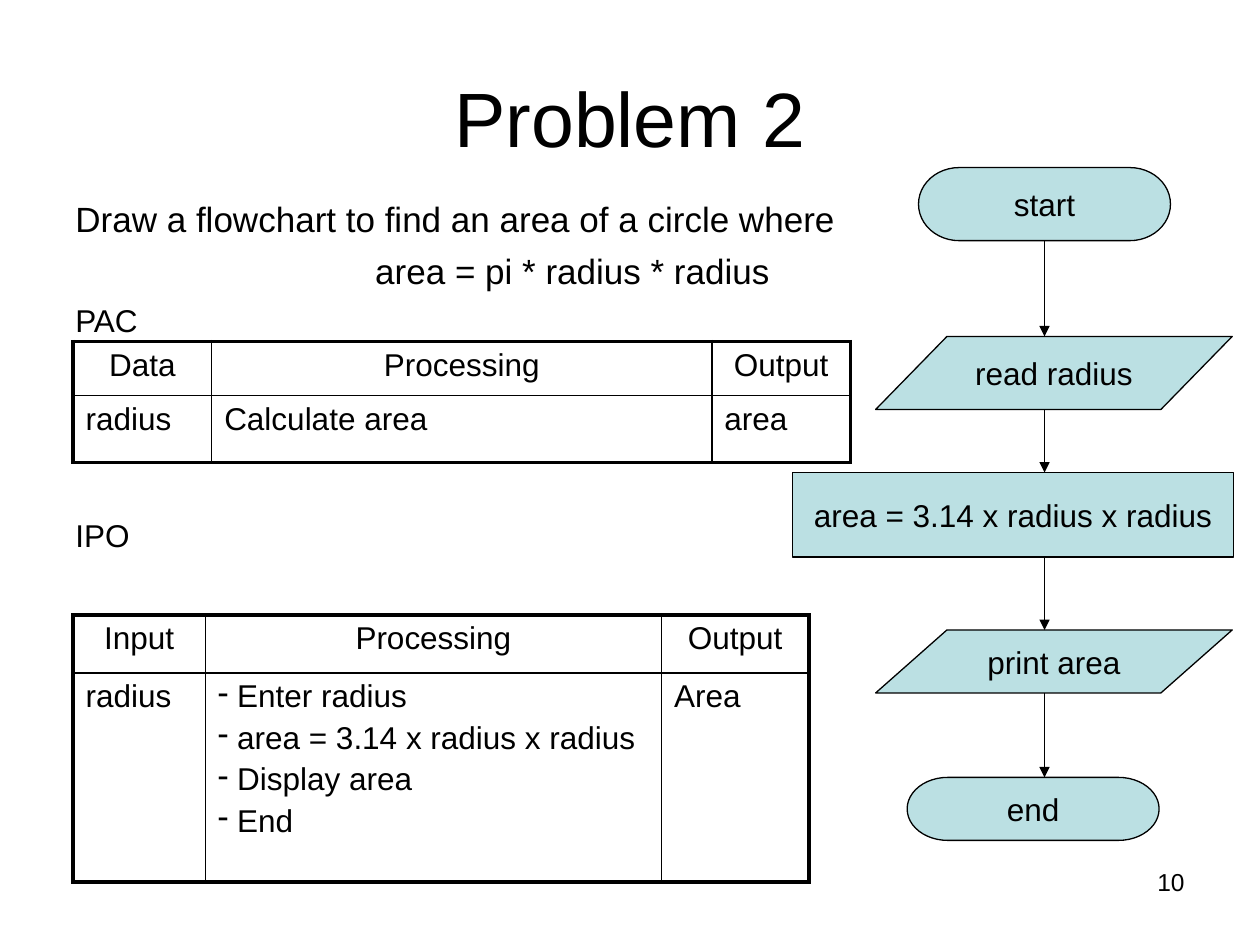
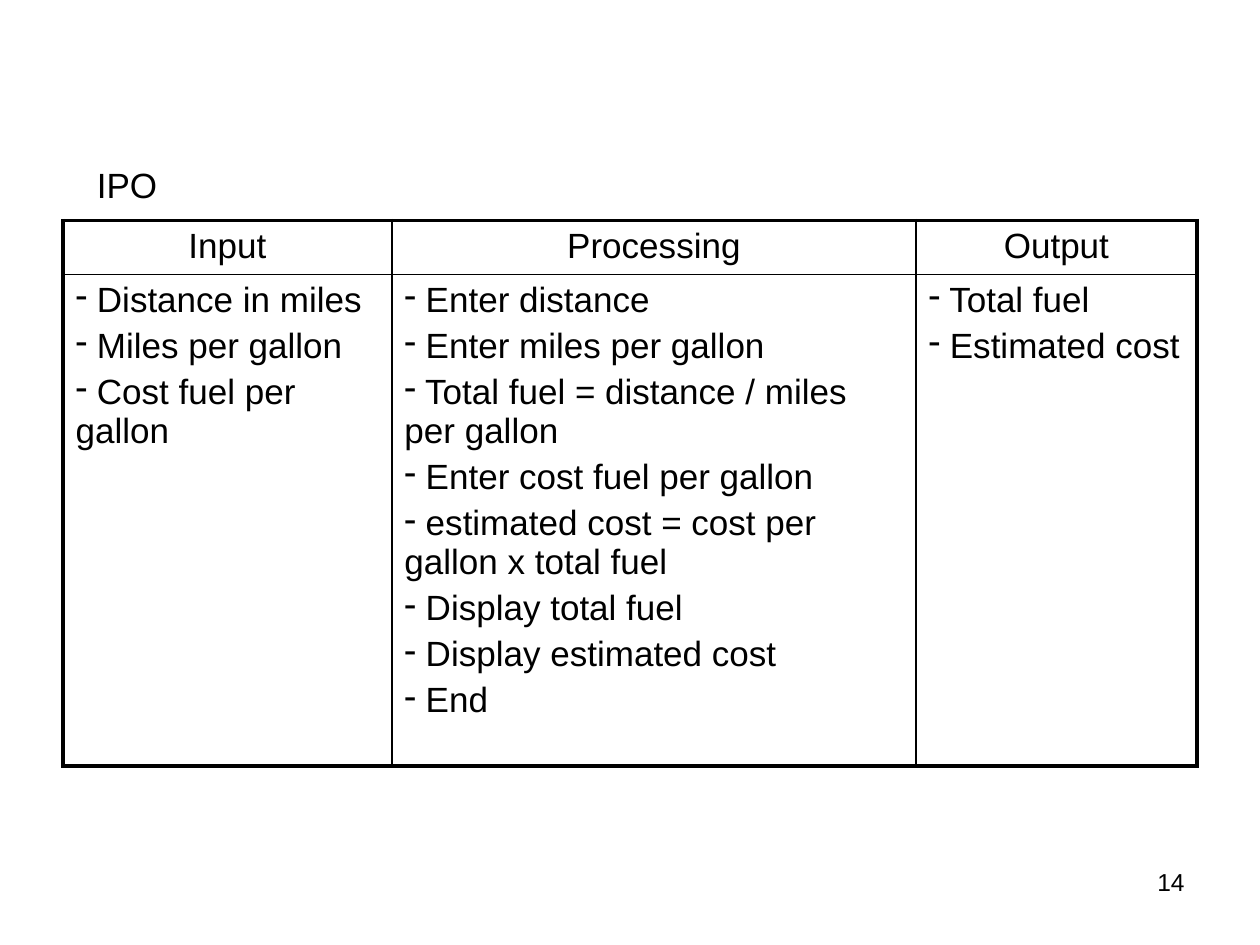
import dataclasses
import itertools
import typing

import lxml.etree
import pptx
import pptx.dml.color
import pptx.enum.shapes
import pptx.enum.text
import pptx.oxml.ns
import pptx.util

Inches = pptx.util.Inches
Pt = pptx.util.Pt
Align = pptx.enum.text.PP_ALIGN
Anchor = pptx.enum.text.MSO_ANCHOR
Form = pptx.enum.shapes.MSO_SHAPE

FONT = "Arial"
COLORS = {"ink": "000000", "step": "BBE0E3"}
THIN, THICK = 1, 2.25
DASH = "- "


@dataclasses.dataclass
class Step:
    text: str
    form: typing.Any
    left: float
    top: float
    width: float
    height: float


@dataclasses.dataclass
class Grid:
    left: float
    top: float
    cols: list[float]
    rows: list[float]
    size: int
    cells: list[list[list[str]]]


STEPS = [
    Step("start", Form.FLOWCHART_TERMINATOR, 7.29, 1.33, 2, 0.58),
    Step("read radius", Form.FLOWCHART_DATA, 6.95, 2.67, 2.83, 0.58),
    Step("area = 3.14 x radius x radius", Form.FLOWCHART_PROCESS, 6.29, 3.75, 3.5, 0.67),
    Step("print area", Form.FLOWCHART_DATA, 6.95, 5, 2.83, 0.5),
    Step("end", Form.FLOWCHART_TERMINATOR, 7.2, 6.17, 2, 0.5),
]
FLOW_X = 8.29

PAC = Grid(0.58, 2.71, [1.1, 3.97, 1.1], [0.43, 0.53], 18, [
    [["Data"], ["Processing"], ["Output"]],
    [["radius"], ["Calculate area"], ["area"]],
])
AREA_IPO = Grid(0.58, 4.88, [1.05, 3.62, 1.17], [0.46, 1.66], 18, [
    [["Input"], ["Processing"], ["Output"]],
    [["radius"],
     ["- Enter radius", "- area = 3.14 x radius x radius", "- Display area", "- End"],
     ["Area"]],
])
FUEL_IPO = Grid(0.5, 1.75, [2.61, 4.16, 2.23], [0.43, 3.9], 20, [
    [["Input"], ["Processing"], ["Output"]],
    [["- Distance in miles", "- Miles per gallon", "- Cost fuel per gallon"],
     ["- Enter distance", "- Enter miles per gallon",
      "- Total fuel = distance / miles per gallon",
      "- Enter cost fuel per gallon",
      "- estimated cost = cost per gallon x total fuel",
      "- Display total fuel", "- Display estimated cost", "- End"],
     ["- Total fuel", "- Estimated cost"]],
])


def color(name: str) -> pptx.dml.color.RGBColor:
    return pptx.dml.color.RGBColor.from_string(COLORS[name])


def add_tag(parent, tag: str, **attrs: str):
    return lxml.etree.SubElement(parent, pptx.oxml.ns.qn(tag), attrs)


def style(para, size: float, align=Align.LEFT) -> None:
    para.alignment = align
    for run in para.runs:
        run.font.name = FONT
        run.font.size = Pt(size)
        run.font.color.rgb = color("ink")


def add_title(slide, text: str) -> None:
    title = slide.shapes.title
    title.left, title.top = Inches(0.5), Inches(0.3)
    title.width, title.height = Inches(9), Inches(1.25)
    title.text_frame.text = text
    title.text_frame.vertical_anchor = Anchor.MIDDLE
    style(title.text_frame.paragraphs[0], 44, Align.CENTER)


def add_text(slide, lines: list[str], left: float, top: float, width: float,
             height: float, size: float, align=Align.LEFT):
    box = slide.shapes.add_textbox(Inches(left), Inches(top), Inches(width), Inches(height))
    frame = box.text_frame
    frame.word_wrap = True
    frame.text = "\n".join(lines)
    for para in frame.paragraphs:
        style(para, size, align)
    return frame


def add_page(slide, number: int) -> None:
    add_text(slide, [str(number)], 7.17, 6.83, 2.33, 0.52, 14, Align.RIGHT)


def add_edges(cell, widths: dict[str, float]) -> None:
    props = cell._tc.get_or_add_tcPr()
    for place, (side, width) in enumerate(widths.items()):
        edge = add_tag(props, f"a:ln{side}", w=str(int(Pt(width))))
        add_tag(add_tag(edge, "a:solidFill"), "a:srgbClr", val=COLORS["ink"])
        props.insert(place, edge)


def fill_cell(cell, lines: list[str], size: int, align) -> None:
    cell.fill.background()
    frame = cell.text_frame
    frame.text = "\n".join(line.replace(DASH, " ", 1) if line.startswith(DASH) else line
                           for line in lines)
    for index, (para, line) in enumerate(zip(frame.paragraphs, lines)):
        if index:
            para.space_before = Pt(size * 0.2)
        if line.startswith(DASH):
            add_tag(para._p.get_or_add_pPr(), "a:buChar", char=DASH.strip())
        style(para, size, align)


def add_grid(slide, grid: Grid) -> None:
    height, width = len(grid.rows), len(grid.cols)
    table = slide.shapes.add_table(
        height, width, Inches(grid.left), Inches(grid.top),
        Inches(sum(grid.cols)), Inches(sum(grid.rows))).table
    table.first_row = table.horz_banding = False
    for col, size in zip(table.columns, grid.cols):
        col.width = Inches(size)
    for row, size in zip(table.rows, grid.rows):
        row.height = Inches(size)
    for y, x in itertools.product(range(height), range(width)):
        cell = table.cell(y, x)
        fill_cell(cell, grid.cells[y][x], grid.size, Align.LEFT if y else Align.CENTER)
        add_edges(cell, {
            "L": THIN if x else THICK,
            "R": THICK if x == width - 1 else THIN,
            "T": THIN if y else THICK,
            "B": THICK if y == height - 1 else THIN,
        })


def add_step(slide, step: Step) -> None:
    shape = slide.shapes.add_shape(
        step.form, Inches(step.left), Inches(step.top), Inches(step.width), Inches(step.height))
    shape.shadow.inherit = False
    shape.fill.solid()
    shape.fill.fore_color.rgb = color("step")
    shape.line.color.rgb = color("ink")
    shape.line.width = Pt(0.75)
    frame = shape.text_frame
    frame.word_wrap = False
    frame.vertical_anchor = Anchor.MIDDLE
    frame.text = step.text
    style(frame.paragraphs[0], 18, Align.CENTER)


def add_arrow(slide, start: Step, end: Step) -> None:
    arrow = slide.shapes.add_connector(
        pptx.enum.shapes.MSO_CONNECTOR.STRAIGHT,
        Inches(FLOW_X), Inches(start.top + start.height), Inches(FLOW_X), Inches(end.top))
    arrow.line.color.rgb = color("ink")
    arrow.line.width = Pt(0.75)
    add_tag(arrow.line._get_or_add_ln(), "a:tailEnd", type="triangle")
    add_tag(arrow._element.spPr, "a:effectLst")


def build_area(deck) -> None:
    slide = deck.slides.add_slide(deck.slide_layouts[5])
    add_title(slide, "Problem 2")
    frame = add_text(slide, ["Draw a flowchart to find an area of a circle where",
                             "area = pi * radius * radius", "PAC"], 0.5, 1.52, 6.4, 1.2, 20)
    for para in frame.paragraphs[1:]:
        para.space_before = Pt(5.6)
    frame.paragraphs[1]._p.get_or_add_pPr().set("marL", str(int(Inches(2.38))))
    style(frame.paragraphs[2], 18)
    add_text(slide, ["IPO"], 0.5, 4.05, 2, 0.4, 18)
    add_grid(slide, AREA_IPO)
    add_page(slide, 10)
    add_grid(slide, PAC)
    for step in STEPS:
        add_step(slide, step)
    for start, end in itertools.pairwise(STEPS):
        add_arrow(slide, start, end)


def build_fuel(deck) -> None:
    slide = deck.slides.add_slide(deck.slide_layouts[6])
    add_grid(slide, FUEL_IPO)
    add_page(slide, 14)
    add_text(slide, ["IPO"], 0.67, 1.25, 0.68, 0.44, 20).word_wrap = False


def main() -> None:
    deck = pptx.Presentation()
    deck.slide_width, deck.slide_height = Inches(10), Inches(7.5)
    build_area(deck)
    build_fuel(deck)
    deck.save("out.pptx")


if __name__ == "__main__":
    main()
